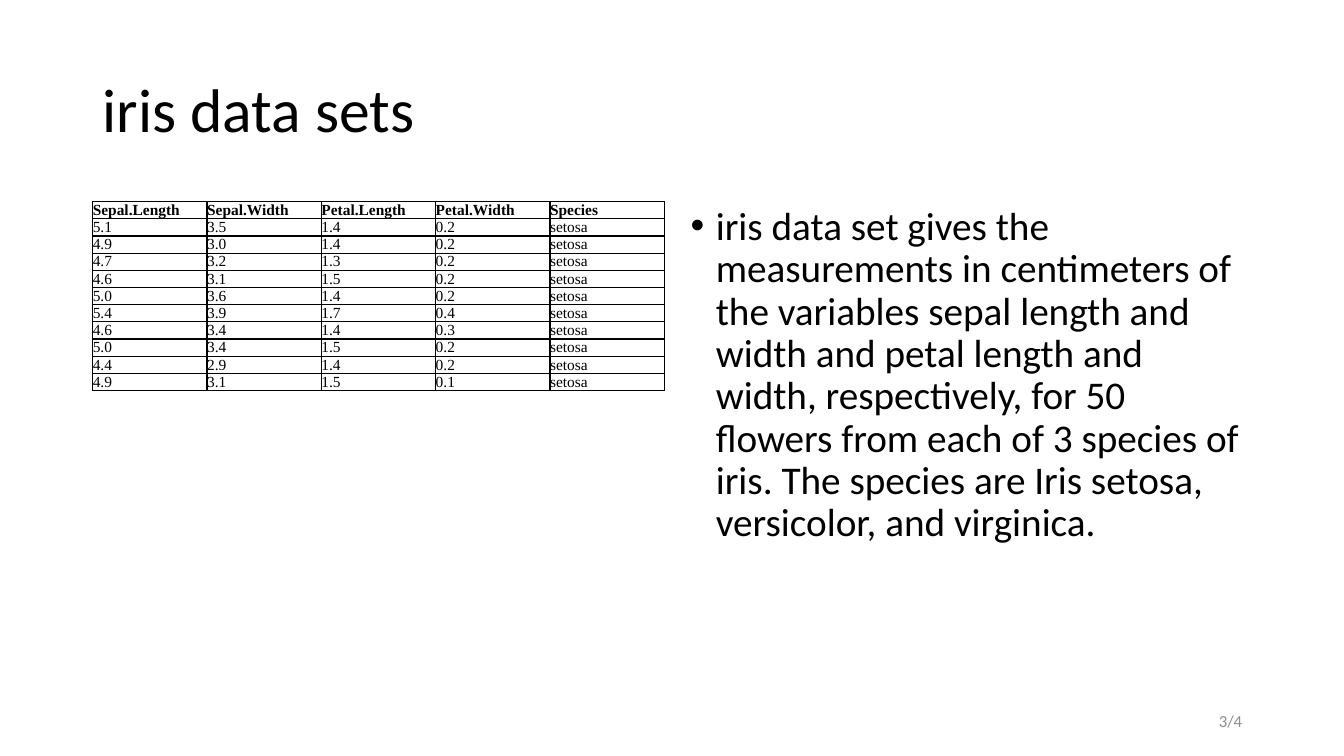
from dataclasses import dataclass

from lxml.etree import SubElement
from pptx import Presentation
from pptx.dml.color import RGBColor
from pptx.enum.text import MSO_ANCHOR as Anchor, MSO_AUTO_SIZE as AutoSize, PP_ALIGN as Align
from pptx.oxml.ns import qn
from pptx.util import Inches, Pt

BLACK, GREY = "000000", "8C8C8C"
SANS, SERIF = "Calibri", "Times New Roman"
BORDER_WIDTH = Pt(1)
ROW_HEIGHT = Inches(0.17)


@dataclass(frozen=True)
class Box:
    """Position and size in inches."""
    left: float
    top: float
    width: float
    height: float

    def lengths(self) -> tuple:
        """Return the four values as lengths."""
        return tuple(map(Inches, (self.left, self.top, self.width, self.height)))


@dataclass(frozen=True)
class TextStyle:
    """Look of a run of text."""
    size: int
    font: str = SANS
    color: str = BLACK
    bold: bool = False


@dataclass(frozen=True)
class Flower:
    """One row of measurements."""
    sepal_length: float
    sepal_width: float
    petal_length: float
    petal_width: float
    species: str = "setosa"

    def texts(self) -> list[str]:
        """Return the cell texts of this row."""
        sizes = (self.sepal_length, self.sepal_width, self.petal_length, self.petal_width)
        return [f"{size:.1f}" for size in sizes] + [self.species]


HEADINGS = ["Sepal.Length", "Sepal.Width", "Petal.Length", "Petal.Width", "Species"]
FLOWERS = [
    Flower(5.1, 3.5, 1.4, 0.2),
    Flower(4.9, 3.0, 1.4, 0.2),
    Flower(4.7, 3.2, 1.3, 0.2),
    Flower(4.6, 3.1, 1.5, 0.2),
    Flower(5.0, 3.6, 1.4, 0.2),
    Flower(5.4, 3.9, 1.7, 0.4),
    Flower(4.6, 3.4, 1.4, 0.3),
    Flower(5.0, 3.4, 1.5, 0.2),
    Flower(4.4, 2.9, 1.4, 0.2),
    Flower(4.9, 3.1, 1.5, 0.1),
]
DESCRIPTION = (
    "iris data set gives the measurements in centimeters of the variables sepal length "
    "and width and petal length and width, respectively, for 50 flowers from each of "
    "3 species of iris. The species are Iris setosa, versicolor, and virginica."
)


def rgb(color: str) -> RGBColor:
    """Turn a hex string into a colour."""
    return RGBColor.from_string(color)


def add_text(paragraph, text: str, style: TextStyle) -> None:
    """Add one styled run to a paragraph."""
    run = paragraph.add_run()
    run.text = text
    run.font.size = Pt(style.size)
    run.font.name = style.font
    run.font.bold = style.bold
    run.font.color.rgb = rgb(style.color)


def fill_shape(shape, box: Box, text: str, style: TextStyle, anchor: Anchor, align: Align):
    """Place a text shape, write its text and return the paragraph."""
    shape.left, shape.top, shape.width, shape.height = box.lengths()
    frame = shape.text_frame
    frame.word_wrap = True
    frame.auto_size = AutoSize.NONE
    frame.vertical_anchor = anchor
    paragraph = frame.paragraphs[0]
    paragraph.alignment = align
    add_text(paragraph, text, style)
    return paragraph


def add_bullet(paragraph, indent: float) -> None:
    """Give a paragraph a hanging bullet."""
    properties = paragraph._p.get_or_add_pPr()
    properties.set("marL", str(Inches(indent)))
    properties.set("indent", str(-Inches(indent)))
    SubElement(properties, qn("a:buChar"), char="•")


def add_borders(cell, color: str) -> None:
    """Draw a solid line on all four sides of a cell."""
    properties = cell._tc.get_or_add_tcPr()
    for side in ("lnL", "lnR", "lnT", "lnB"):
        line = SubElement(properties, qn(f"a:{side}"), w=str(BORDER_WIDTH))
        fill = SubElement(line, qn("a:solidFill"))
        SubElement(fill, qn("a:srgbClr"), val=color)


def fill_cell(cell, text: str, style: TextStyle) -> None:
    """Format one table cell and write its text."""
    cell.margin_left = cell.margin_right = cell.margin_top = cell.margin_bottom = 0
    cell.vertical_anchor = Anchor.MIDDLE
    add_borders(cell, BLACK)
    cell.fill.background()
    add_text(cell.text_frame.paragraphs[0], text, style)


def add_flower_table(slide, left: float, top: float, width: float) -> None:
    """Add the table of measurements with equal columns."""
    rows = [HEADINGS] + [flower.texts() for flower in FLOWERS]
    table = slide.shapes.add_table(
        len(rows), len(HEADINGS), Inches(left), Inches(top),
        Inches(width), ROW_HEIGHT * len(rows),
    ).table
    table.first_row = table.horz_banding = False
    for row_index, texts in enumerate(rows):
        table.rows[row_index].height = ROW_HEIGHT
        style = TextStyle(11, SERIF, bold=row_index == 0)
        for column_index, text in enumerate(texts):
            fill_cell(table.cell(row_index, column_index), text, style)


def main() -> None:
    """Build the slide and save it."""
    presentation = Presentation()
    presentation.slide_width, presentation.slide_height = Inches(13.33), Inches(7.5)
    slide = presentation.slides.add_slide(presentation.slide_layouts[1])

    title = fill_shape(slide.shapes.title, Box(0.92, 0.39, 11.5, 1.45), "iris data sets",
                       TextStyle(44), Anchor.MIDDLE, Align.LEFT)
    title.line_spacing = 0.9

    add_flower_table(slide, 0.92, 2, 5.67)

    description = fill_shape(slide.placeholders[1], Box(6.75, 2, 5.67, 4.76), DESCRIPTION,
                             TextStyle(28), Anchor.TOP, Align.LEFT)
    description.line_spacing = 0.9
    description.space_before = Pt(10)
    add_bullet(description, 0.25)

    number_box = Box(9.42, 6.95, 3, 0.4)
    fill_shape(slide.shapes.add_textbox(*number_box.lengths()), number_box, "3/4",
               TextStyle(12, color=GREY), Anchor.MIDDLE, Align.RIGHT)

    presentation.save("out.pptx")


main()
